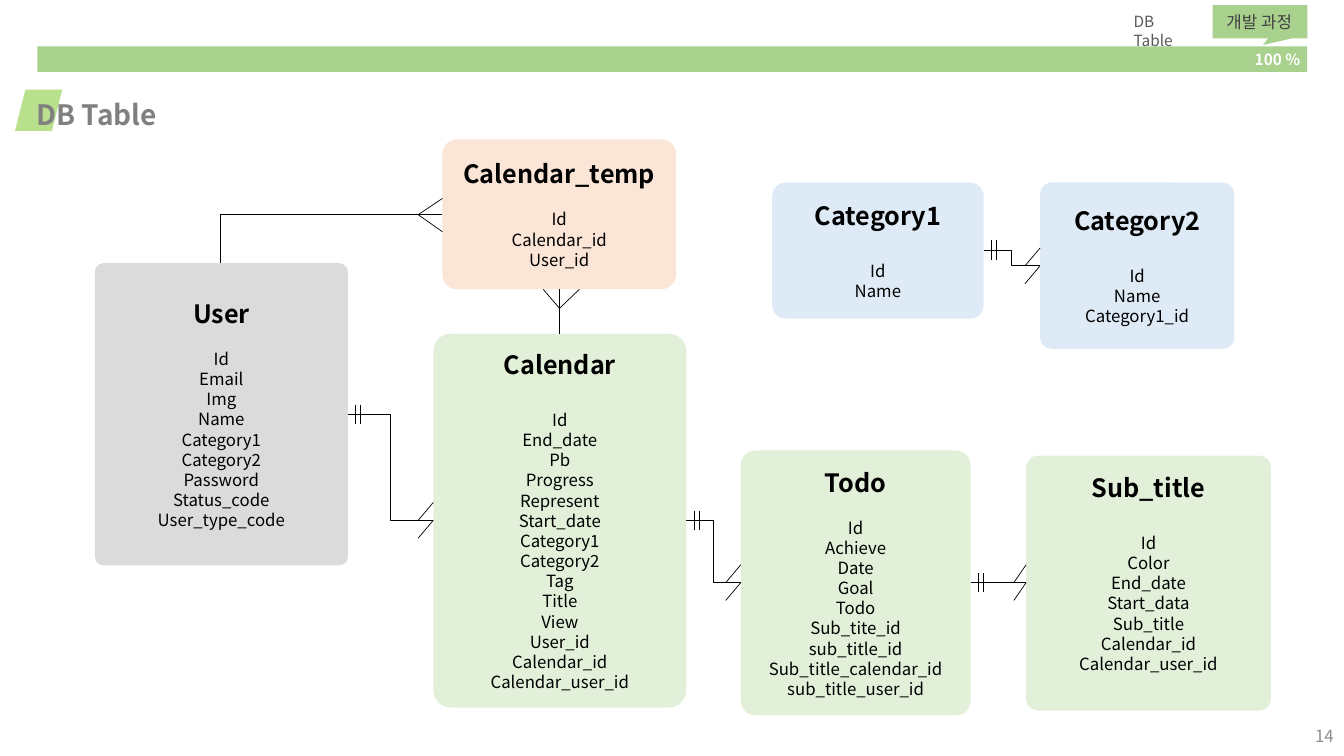
from lxml.etree import SubElement
from pptx import Presentation
from pptx.dml.color import RGBColor
from pptx.enum.shapes import MSO_CONNECTOR as LINE, MSO_SHAPE as KIND
from pptx.enum.text import MSO_ANCHOR as ANCHOR, MSO_AUTO_SIZE as AUTO, PP_ALIGN as ALIGN
from pptx.oxml.ns import qn
from pptx.util import Cm, Pt

FACE = "Noto Sans CJK KR"


def paint(fill, tone):
    fill.solid()
    fill.fore_color.rgb = RGBColor.from_string(tone)


def write(para, text, size, tone, bold=False, align=ALIGN.LEFT):
    para.alignment = align
    run = para.add_run()
    run.text = text
    look = {"name": FACE, "size": Pt(size), "bold": bold}
    for key, val in look.items():
        setattr(run.font, key, val)
    paint(run.font.fill, tone)
    SubElement(run.font._element, qn("a:ea")).set("typeface", FACE)


deck = Presentation()
deck.slide_width, deck.slide_height = Cm(33.87), Cm(19.05)
slide = deck.slides.add_slide(deck.slide_layouts[5])
shapes = slide.shapes

title = shapes.title
place = {"left": Cm(0.66), "top": Cm(2.33), "width": Cm(4.62), "height": Cm(1.27)}
for key, val in place.items():
    setattr(title, key, val)
frame = title.text_frame
form = {"vertical_anchor": ANCHOR.TOP, "auto_size": AUTO.NONE, "word_wrap": True}
for key, val in form.items():
    setattr(frame, key, val)
write(frame.paragraphs[0], "DB Table", 20, "808080", True)

blocks = [
    (KIND.PARALLELOGRAM, (0.38, 2.26, 1.19, 1.04), "92D050", []),
    (KIND.RECTANGLE, (0.94, 1.17, 32, 0.64), "A9D18E", []),
    (KIND.RECTANGULAR_CALLOUT, (30.56, 0.13, 2.39, 0.84), "A9D18E", [0.031, 0.695]),
]
for kind, box, tone, bends in blocks:
    block = shapes.add_shape(kind, *map(Cm, box))
    block.shadow.inherit = False
    block.line.fill.background()
    paint(block.fill, tone)
    for i, bend in enumerate(bends):
        block.adjustments[i] = bend
    if kind == KIND.PARALLELOGRAM:
        tint = block.fill._xPr.find(".//" + qn("a:srgbClr"))
        SubElement(tint, qn("a:alpha")).set("val", "65000")
        title.element.addprevious(block.element)

labels = [
    ("14", (26.24, 18.03, 7.62, 1.02), 12, "8C8C8C", False, ALIGN.RIGHT, ANCHOR.MIDDLE),
    ("100 %", (31.37, 1.13, 2, 0.74), 11, "FFFFFF", True, ALIGN.LEFT, ANCHOR.TOP),
    ("개발 과정", (30.58, 0.16, 2.31, 0.76), 12, "404040", False, ALIGN.CENTER, ANCHOR.TOP),
    ("DB Table", (28.32, 0.19, 2, 0.74), 11, "595959", False, ALIGN.LEFT, ANCHOR.TOP),
]
for text, box, size, tone, bold, align, anchor in labels:
    frame = shapes.add_textbox(*map(Cm, box)).text_frame
    frame.word_wrap = True
    frame.vertical_anchor = anchor
    write(frame.paragraphs[0], text, size, tone, bold, align)

tables = [
    ("User", (2.39, 6.63, 6.38, 7.62), 0.035, "DBDBDB", 14.4, 0.13,
     "Id Email Img Name Category1 Category2 Password Status_code User_type_code"),
    ("Todo", (18.67, 11.35, 5.79, 6.68), 0.064, "E2F0D9", 14.4, 0.13,
     "Id Achieve Date Goal Todo Sub_tite_id sub_title_id Sub_title_calendar_id "
     "sub_title_user_id"),
    ("Calendar", (10.92, 8.41, 6.38, 9.42), 0.069, "E2F0D9", 21.6, 0.13,
     "Id End_date Pb Progress Represent Start_date Category1 Category2 Tag Title View "
     "User_id Calendar_id Calendar_user_id"),
    ("Sub_title", (25.86, 11.48, 6.17, 6.43), 0.051, "E2F0D9", 21.6, 0.64,
     "Id Color End_date Start_data Sub_title Calendar_id Calendar_user_id"),
    ("Category1", (19.46, 4.6, 5.33, 3.43), 0.1, "DEEBF7", 21.6, 0.13, "Id Name"),
    ("Category2", (26.21, 4.6, 4.9, 4.19), 0.072, "DEEBF7", 21.6, 0.13,
     "Id Name Category1_id"),
    ("Calendar_temp", (11.15, 3.51, 5.89, 3.78), 0.099, "FBE5D6", 14.4, 0.13,
     "Id Calendar_id User_id"),
]
for name, box, curve, tone, gap, foot, fields in tables:
    card = shapes.add_shape(KIND.ROUNDED_RECTANGLE, *map(Cm, box))
    card.shadow.inherit = False
    card.adjustments[0] = curve
    card.line.fill.background()
    paint(card.fill, tone)
    frame = card.text_frame
    form = {"word_wrap": True, "vertical_anchor": ANCHOR.MIDDLE, "margin_bottom": Cm(foot)}
    for key, val in form.items():
        setattr(frame, key, val)
    head = frame.paragraphs[0]
    head.space_after = Pt(gap)
    write(head, name, 18, "000000", True, ALIGN.CENTER)
    for field in fields.split():
        write(frame.add_paragraph(), field, 12, "000000", False, ALIGN.CENTER)

strokes = [
    ("bentConnector2", 11.15, 5.41, 5.56, 6.63),
    ("line", 10.54, 5.41, 11.15, 5),
    ("line", 10.54, 5.41, 11.15, 5.84),
    ("line", 14.1, 8.41, 14.1, 7.29),
    ("line", 14.1, 7.77, 14.6, 7.29),
    ("line", 14.1, 7.77, 13.69, 7.29),
]
links = [
    (8.76, 10.44, 10.92, 13.11, 0.38),
    (17.3, 13.11, 18.67, 14.68, 0.38),
    (24.79, 6.3, 26.21, 6.7, 0.38),
    (24.46, 14.68, 25.86, 14.68, 0.31),
]
for x1, y1, x2, y2, reach in links:
    strokes += [
        ("line" if y1 == y2 else "bentConnector3", x1, y1, x2, y2),
        ("line", x2 - reach, y2, x2, y2 - 0.45),
        ("line", x2 - reach, y2 + 0.45, x2, y2),
    ]
    strokes += [("line", x1 + step, y1 - 0.24, x1 + step, y1 + 0.24) for step in (0.2, 0.33)]

for kind, *ends in strokes:
    route = LINE.STRAIGHT if kind == "line" else LINE.ELBOW
    wire = shapes.add_connector(route, *map(Cm, ends))
    wire.line.width = Pt(0.5)
    paint(wire.line.fill, "000000")
    props = wire.element.spPr
    props.find(qn("a:prstGeom")).set("prst", kind)
    SubElement(props, qn("a:effectLst"))

deck.save("out.pptx")
